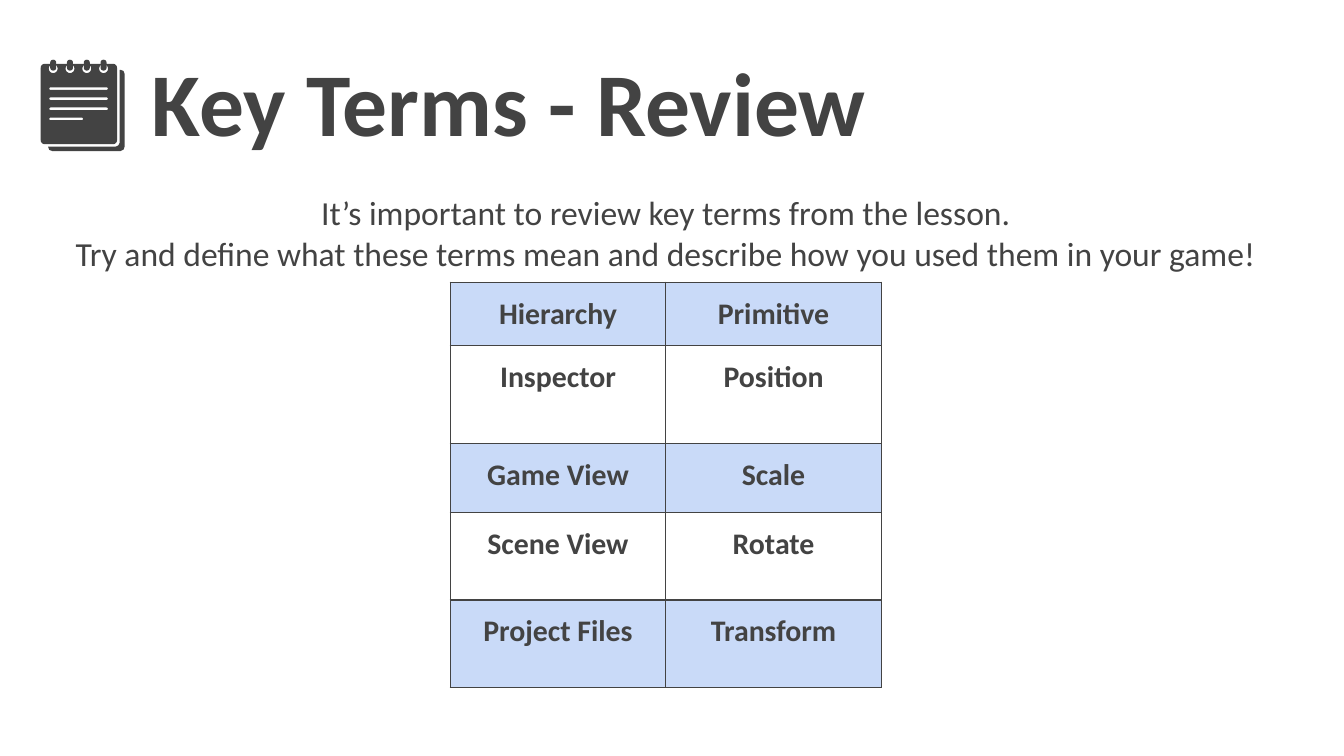
from math import cos, pi, sin

from lxml.etree import SubElement
from pptx import Presentation
from pptx.dml.color import RGBColor
from pptx.enum.text import MSO_ANCHOR as Anchor, MSO_AUTO_SIZE as AutoSize, PP_ALIGN as Align
from pptx.oxml.ns import qn
from pptx.util import Pt

FONT = "Calibri"
INK, BAND, WHITE = "434343", "C9DAF8", "FFFFFF"
INSET = 7.2


def color(hex_string):
    return RGBColor.from_string(hex_string)


def rounded_contour(left, top, width, height, radius):
    """Points of a rounded rectangle; a full radius gives a circle or pill."""
    corners = [
        (left + width - radius, top + radius, -pi / 2),
        (left + width - radius, top + height - radius, 0),
        (left + radius, top + height - radius, pi / 2),
        (left + radius, top + radius, pi),
    ]
    steps = 4
    return [
        (x + radius * cos(start + step * pi / 2 / steps),
         y + radius * sin(start + step * pi / 2 / steps))
        for x, y, start in corners
        for step in range(steps + 1)
    ]


class SlideBuilder:
    def __init__(self, slide):
        self.slide = slide

    def format_text(self, text_frame, size, bold=False, align=Align.LEFT):
        for paragraph in text_frame.paragraphs:
            paragraph.alignment = align
            for run in paragraph.runs:
                run.font.name = FONT
                run.font.size = Pt(size)
                run.font.bold = bold
                run.font.color.rgb = color(INK)

    def set_frame(self, text_frame):
        text_frame.word_wrap = True
        text_frame.auto_size = AutoSize.NONE
        text_frame.vertical_anchor = Anchor.TOP
        text_frame.margin_left = text_frame.margin_right = Pt(INSET)
        text_frame.margin_top = text_frame.margin_bottom = Pt(INSET)

    def title(self, text, left, top, width, height, size):
        shape = self.slide.shapes.title
        shape.left, shape.top = Pt(left), Pt(top)
        shape.width, shape.height = Pt(width), Pt(height)
        shape.text_frame.text = text
        self.set_frame(shape.text_frame)
        self.format_text(shape.text_frame, size, bold=True)

    def text(self, text, left, top, width, height, size):
        shape = self.slide.shapes.add_textbox(Pt(left), Pt(top), Pt(width), Pt(height))
        shape.text_frame.text = text
        self.set_frame(shape.text_frame)
        self.format_text(shape.text_frame, size, align=Align.CENTER)

    def outline(self, group, contours):
        """Draw one filled shape; contours after the first are holes."""
        contours = [[(Pt(x), Pt(y)) for x, y in contour] for contour in contours]
        builder = group.shapes.build_freeform(*contours[0][0])
        for index, contour in enumerate(contours):
            if index:
                builder.move_to(*contour[0])
            builder.add_line_segments(contour[1:], close=True)
        shape = builder.convert_to_shape()
        shape.shadow.inherit = False
        shape.fill.solid()
        shape.fill.fore_color.rgb = color(INK)
        shape.line.fill.background()

    def notepad(self):
        group = self.slide.shapes.add_group_shape()
        ring_centers = [28.5 + 9 * i for i in range(4)]

        # Sheet behind, seen along the right and bottom edges
        self.outline(group, [[
            (64.2, 37.4), (64.2, 76.4), (63.5, 77.9), (62, 78.6), (25.8, 78.6),
            (26.4, 80.3), (28, 80.9), (64.6, 80.9), (66.2, 80.2), (66.8, 78.6),
            (66.8, 39.6), (66.2, 38), (64.6, 37.4),
        ]])

        # Binding rings
        for center in ring_centers:
            self.outline(group, [rounded_contour(center - 1.6, 32, 3.2, 5.8, 1.5)])

        # Front page with ring holes and ruled lines cut out
        page = rounded_contour(21.8, 34.2, 40.9, 43.1, 2.2)
        holes = [rounded_contour(center - 2.4, 34.4, 4.8, 4.8, 2.4)
                 for center in ring_centers]
        rules = [rounded_contour(26.4, 46.8 + 5.4 * i, width, 1.4, 0.7)
                 for i, width in enumerate([31.4, 31.4, 31.4, 18.1])]
        self.outline(group, [page, *holes, *rules])

    def border(self, cell, width):
        properties = cell._tc.get_or_add_tcPr()
        for side in ("lnL", "lnR", "lnT", "lnB"):
            line = SubElement(properties, qn(f"a:{side}"), w=str(Pt(width)))
            fill = SubElement(line, qn("a:solidFill"))
            SubElement(fill, qn("a:srgbClr"), val=INK)

    def table(self, rows, left, top, column_width, row_heights, size):
        columns = len(rows[0])
        table = self.slide.shapes.add_table(
            len(rows), columns, Pt(left), Pt(top),
            Pt(column_width * columns), Pt(sum(row_heights))).table
        table.first_row = table.horz_banding = False
        for column in table.columns:
            column.width = Pt(column_width)
        for row_index, values in enumerate(rows):
            table.rows[row_index].height = Pt(row_heights[row_index])
            for column_index, value in enumerate(values):
                cell = table.cell(row_index, column_index)
                cell.text_frame.text = value
                cell.margin_left = cell.margin_right = Pt(INSET)
                cell.margin_top = cell.margin_bottom = Pt(INSET)
                self.format_text(cell.text_frame, size, bold=True, align=Align.CENTER)
                self.border(cell, 0.75)
                cell.fill.solid()
                cell.fill.fore_color.rgb = color(WHITE if row_index % 2 else BAND)


def main():
    presentation = Presentation()
    presentation.slide_width, presentation.slide_height = Pt(720), Pt(405)
    builder = SlideBuilder(presentation.slides.add_slide(presentation.slide_layouts[5]))

    # Heading
    builder.title("Key Terms - Review", 74.2, 18, 620.6, 62.6, size=48)
    builder.notepad()

    # Instructions
    builder.text(
        "It’s important to review key terms from the lesson.\n"
        "Try and define what these terms mean and describe how you used them in your game!",
        21.6, 95.8, 670.3, 48.2, size=18)

    # Key terms
    terms = [
        ("Hierarchy", "Primitive"),
        ("Inspector", "Position"),
        ("Game View", "Scale"),
        ("Scene View", "Rotate"),
        ("Project Files", "Transform"),
    ]
    builder.table(terms, 241.2, 151.2, 115.5, [33.7, 52.6, 36.7, 47, 47], size=16)

    presentation.save("out.pptx")


if __name__ == "__main__":
    main()
